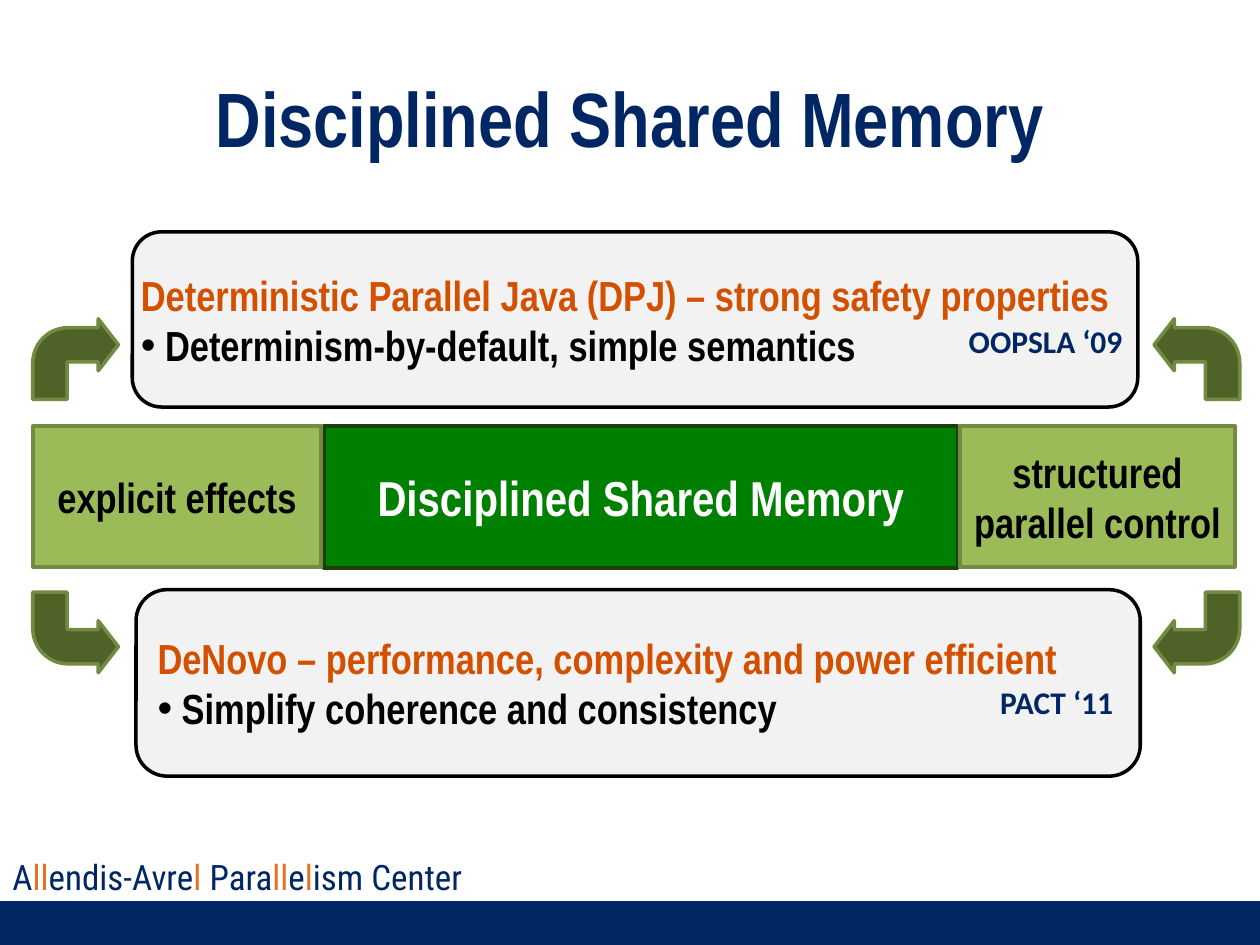
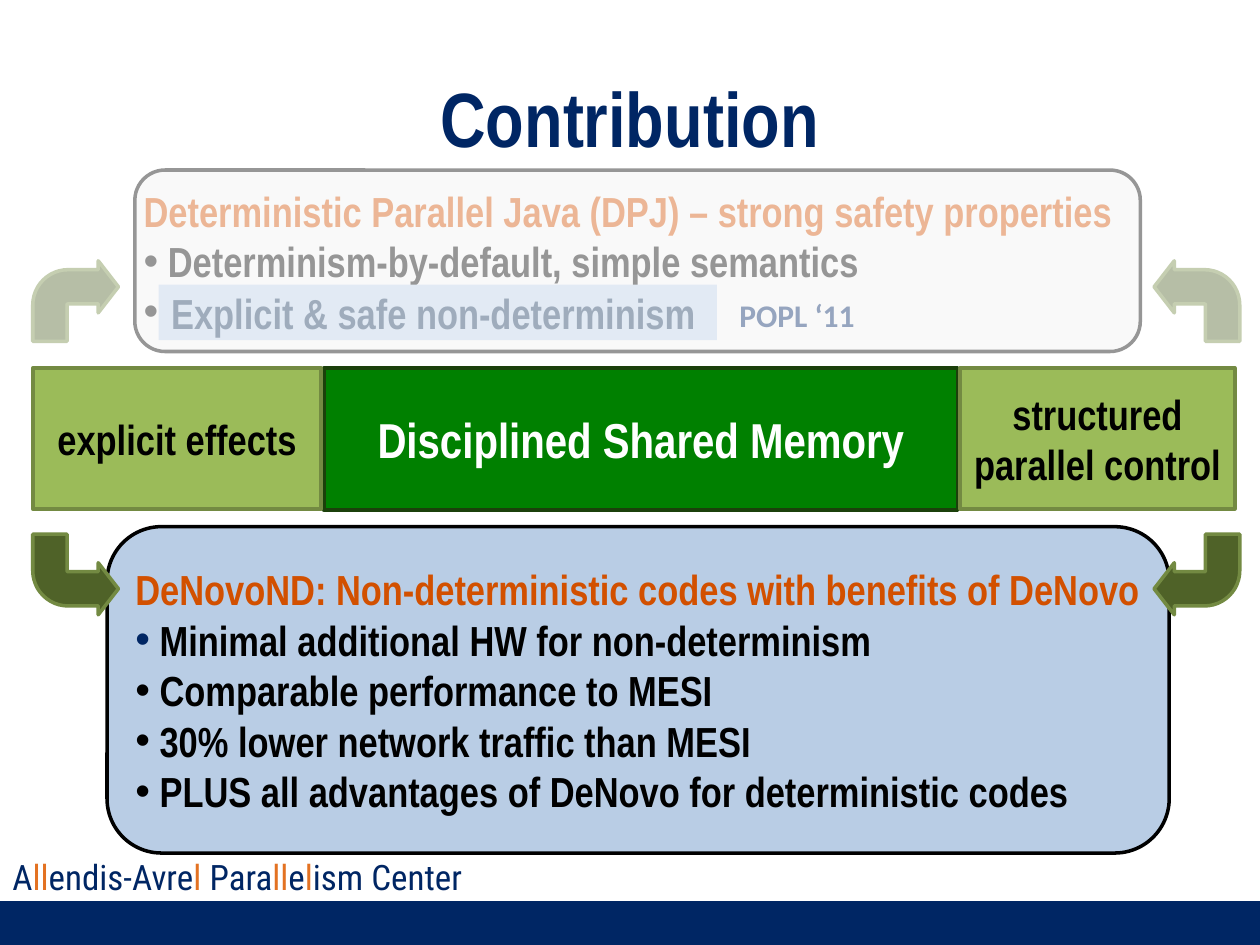
from dataclasses import dataclass
from itertools import product
from typing import Optional

from lxml import etree
from pptx import Presentation
from pptx import util as u
from pptx.dml.color import RGBColor
from pptx.enum import shapes, text
from pptx.oxml.ns import qn


@dataclass(frozen=True)
class Theme:
    navy: str = "002664"
    orange: str = "E37222"
    rust: str = "D25000"
    black: str = "000000"
    white: str = "FFFFFF"
    grey: str = "F2F2F2"
    blue: str = "B9CDE5"
    deep_blue: str = "17375E"
    green: str = "008000"
    green_edge: str = "1B400B"
    olive: str = "9BBB59"
    olive_edge: str = "738A42"
    olive_dark: str = "4F6228"
    heading_font: str = "Arial Narrow"
    note_font: str = "Calibri"
    footer_font: str = "Roboto Condensed"
    title_size: int = 44
    core_size: int = 28
    body_size: int = 24
    footer_size: int = 20
    note_size: int = 18
    edge: float = 2


@dataclass(frozen=True)
class Area:
    left: float
    top: float
    width: float
    height: float

    def lengths(self) -> list:
        return [u.Inches(n) for n in (self.left, self.top, self.width, self.height)]


@dataclass(frozen=True)
class Style:
    size: int
    color: str
    font: str = "Arial Narrow"
    bold: bool = True


@dataclass(frozen=True)
class Panel:
    area: Area
    heading: str
    points: tuple
    fill: str
    side_inset: float = 0.1
    first_bullet: str = "000000"


@dataclass(frozen=True)
class Note:
    area: Area
    words: str


@dataclass(frozen=True)
class Block:
    left: float
    width: float
    height: float
    words: str
    fill: str
    edge: str
    style: Style


THEME = Theme()
SHAPE = shapes.MSO_SHAPE
LEFT, CENTER = text.PP_ALIGN.LEFT, text.PP_ALIGN.CENTER
TOP, MIDDLE = text.MSO_ANCHOR.TOP, text.MSO_ANCHOR.MIDDLE

TITLE = Style(THEME.title_size, THEME.navy)
HEADING = Style(THEME.body_size, THEME.rust)
BODY = Style(THEME.body_size, THEME.black)
CORE = Style(THEME.core_size, THEME.white)
HIGHLIGHT = Style(THEME.body_size, THEME.deep_blue)
NOTE = Style(THEME.note_size, THEME.navy, THEME.note_font)

BLOCKS = (
    Block(2.57, 5.03, 1.13, "Disciplined Shared Memory", THEME.green, THEME.green_edge, CORE),
    Block(0.26, 2.29, 1.12, "explicit effects", THEME.olive, THEME.olive_edge, BODY),
    Block(7.62, 2.18, 1.12, "structured parallel control", THEME.olive, THEME.olive_edge, BODY),
)
FOOTER = ("A", "ll", "endis-Avre", "l", " Para", "ll", "e", "l", "ism Center")
ARROW_BENDS = (0.425, 0.323, 0.25, 0.438)


def add_span(para, words: str, style: Style) -> None:
    span = para.add_run()
    span.text = words
    span.font.name = style.font
    span.font.size = u.Pt(style.size)
    span.font.bold = style.bold
    span.font.color.rgb = RGBColor.from_string(style.color)


def set_frame(box, anchor=TOP, side: float = 0.1, end: float = 0.05, wrap: bool = True):
    frame = box.text_frame
    frame.word_wrap = wrap
    frame.vertical_anchor = anchor
    frame.margin_left = frame.margin_right = u.Inches(side)
    frame.margin_top = frame.margin_bottom = u.Inches(end)
    return frame


def add_bullet(para) -> None:
    props = para._p.get_or_add_pPr()
    props.set("marL", "0")
    props.set("indent", "0")
    etree.SubElement(props, qn("a:buFont")).set("typeface", "Arial")
    etree.SubElement(props, qn("a:buChar")).set("char", "•")


def add_box(page, kind, area: Area, fill: str, edge: Optional[str] = None,
            weight: float = THEME.edge):
    box = page.shapes.add_shape(kind, *area.lengths())
    box.shadow.inherit = False
    box.fill.solid()
    box.fill.fore_color.rgb = RGBColor.from_string(fill)
    if edge:
        box.line.color.rgb = RGBColor.from_string(edge)
        box.line.width = u.Pt(weight)
    else:
        box.line.fill.background()
    return box


def add_line(box, words: str, style: Style, align=LEFT, **frame_options) -> None:
    para = set_frame(box, **frame_options).paragraphs[0]
    para.alignment = align
    add_span(para, words, style)


def add_footer(page) -> None:
    add_box(page, SHAPE.RECTANGLE, Area(0, 7.16, 10, 0.34), THEME.navy, THEME.navy, 0.75)
    box = page.shapes.add_textbox(*Area(0, 6.74, 4.99, 0.44).lengths())
    para = set_frame(box).paragraphs[0]
    for index, words in enumerate(FOOTER):
        color = THEME.orange if index % 2 else THEME.navy
        add_span(para, words, Style(THEME.footer_size, color, THEME.footer_font, False))


def add_title(page, words: str) -> None:
    box = page.shapes.add_textbox(*Area(0.5, 0.3, 9, 1.25).lengths())
    add_line(box, words, TITLE, CENTER, anchor=MIDDLE)


def add_panel(page, panel: Panel) -> None:
    box = add_box(page, SHAPE.ROUNDED_RECTANGLE, panel.area, panel.fill, THEME.black)
    add_line(box, panel.heading, HEADING, anchor=MIDDLE, side=panel.side_inset)
    for index, point in enumerate(panel.points):
        para = box.text_frame.add_paragraph()
        para.alignment = LEFT
        add_bullet(para)
        color = THEME.black if index else panel.first_bullet
        add_span(para, " ", Style(THEME.body_size, color))
        if point:
            add_span(para, point, BODY)


def add_band(page, top: float) -> None:
    for block in BLOCKS:
        area = Area(block.left, top, block.width, block.height)
        box = add_box(page, SHAPE.RECTANGLE, area, block.fill, block.edge)
        add_line(box, block.words, block.style, CENTER, anchor=MIDDLE)


def add_arrows(page, band_top: float) -> None:
    for on_right, below in product((False, True), repeat=2):
        area = Area(9.16 if on_right else 0.26,
                    band_top + (1.32 if below else -0.85), 0.68, 0.64)
        arrow = add_box(page, SHAPE.BENT_ARROW, area, THEME.olive_dark, THEME.olive_edge)
        for index, bend in enumerate(ARROW_BENDS):
            arrow.adjustments[index] = bend
        frame = arrow._element.spPr.find(qn("a:xfrm"))
        if on_right:
            frame.set("flipH", "1")
        if below:
            frame.set("flipV", "1")


def add_note(page, note: Note) -> None:
    box = page.shapes.add_textbox(*note.area.lengths())
    add_line(box, note.words, NOTE, wrap=False)


def add_highlight(page, area: Area, words: str) -> None:
    box = add_box(page, SHAPE.RECTANGLE, area, THEME.blue)
    add_line(box, words, HIGHLIGHT, end=0.02)


def add_veil(page, area: Area, opacity: int) -> None:
    veil = add_box(page, SHAPE.RECTANGLE, area, THEME.white)
    color = veil._element.spPr.find(qn("a:solidFill")).find(qn("a:srgbClr"))
    etree.SubElement(color, qn("a:alpha")).set("val", str(opacity * 1000))


def add_page(deck, title: str, panels: tuple, band_top: float):
    page = deck.slides.add_slide(deck.slide_layouts[6])
    add_footer(page)
    add_title(page, title)
    for panel in panels:
        add_panel(page, panel)
    add_band(page, band_top)
    add_arrows(page, band_top)
    return page


def add_memory_page(deck) -> None:
    panels = (
        Panel(Area(1.05, 1.84, 7.98, 1.39),
              "Deterministic Parallel Java (DPJ) – strong safety properties",
              ("Determinism-by-default, simple semantics",), THEME.grey, side_inset=0),
        Panel(Area(1.08, 4.68, 7.97, 1.48),
              "DeNovo – performance, complexity and power efficient",
              ("Simplify coherence and consistency",), THEME.grey),
    )
    page = add_page(deck, "Disciplined Shared Memory", panels, 3.38)
    add_note(page, Note(Area(7.59, 2.51, 1.44, 0.4), "OOPSLA ‘09"))
    add_note(page, Note(Area(7.84, 5.37, 1.13, 0.4), "PACT ‘11"))


def add_contribution_page(deck) -> None:
    panels = (
        Panel(Area(1.07, 1.35, 7.98, 1.44),
              "Deterministic Parallel Java (DPJ) – strong safety properties",
              ("Determinism-by-default, simple semantics", ""), THEME.grey, side_inset=0),
        Panel(Area(0.85, 4.18, 8.43, 2.59),
              "DeNovoND: Non-deterministic codes with benefits of DeNovo",
              ("Minimal additional HW for non-determinism",
               "Comparable performance to MESI",
               "30% lower network traffic than MESI",
               "PLUS all advantages of DeNovo for deterministic codes"),
              THEME.blue, first_bullet=THEME.navy),
    )
    page = add_page(deck, "Contribution", panels, 2.92)
    add_highlight(page, Area(1.26, 2.26, 4.43, 0.44), "Explicit & safe non-determinism")
    add_note(page, Note(Area(5.77, 2.3, 1.13, 0.4), "POPL ‘11"))
    add_veil(page, Area(0, 1.27, 10, 1.58), 59)


def main() -> None:
    deck = Presentation()
    deck.slide_width, deck.slide_height = u.Inches(10), u.Inches(7.5)
    add_memory_page(deck)
    add_contribution_page(deck)
    deck.save("out.pptx")


main()
